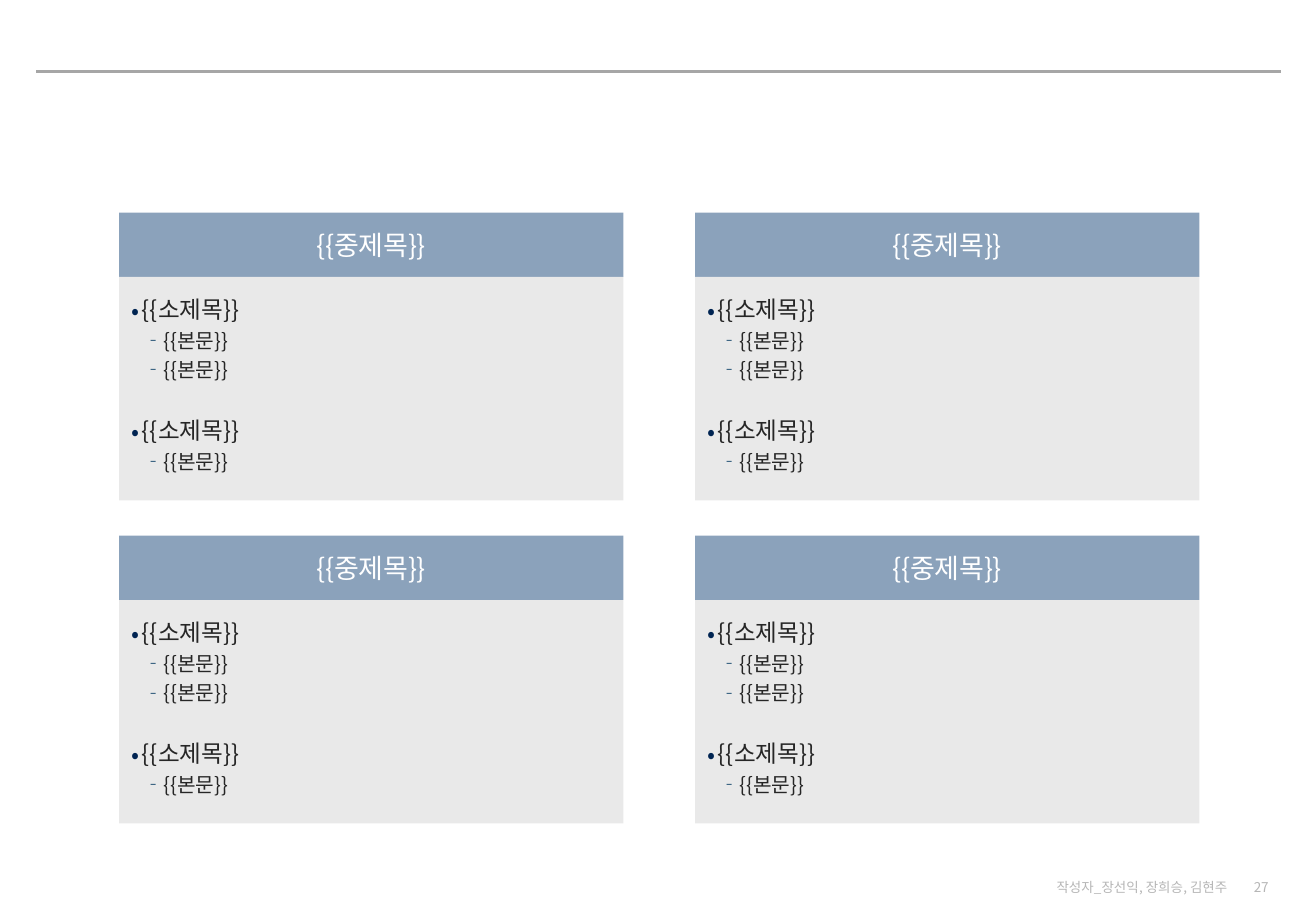
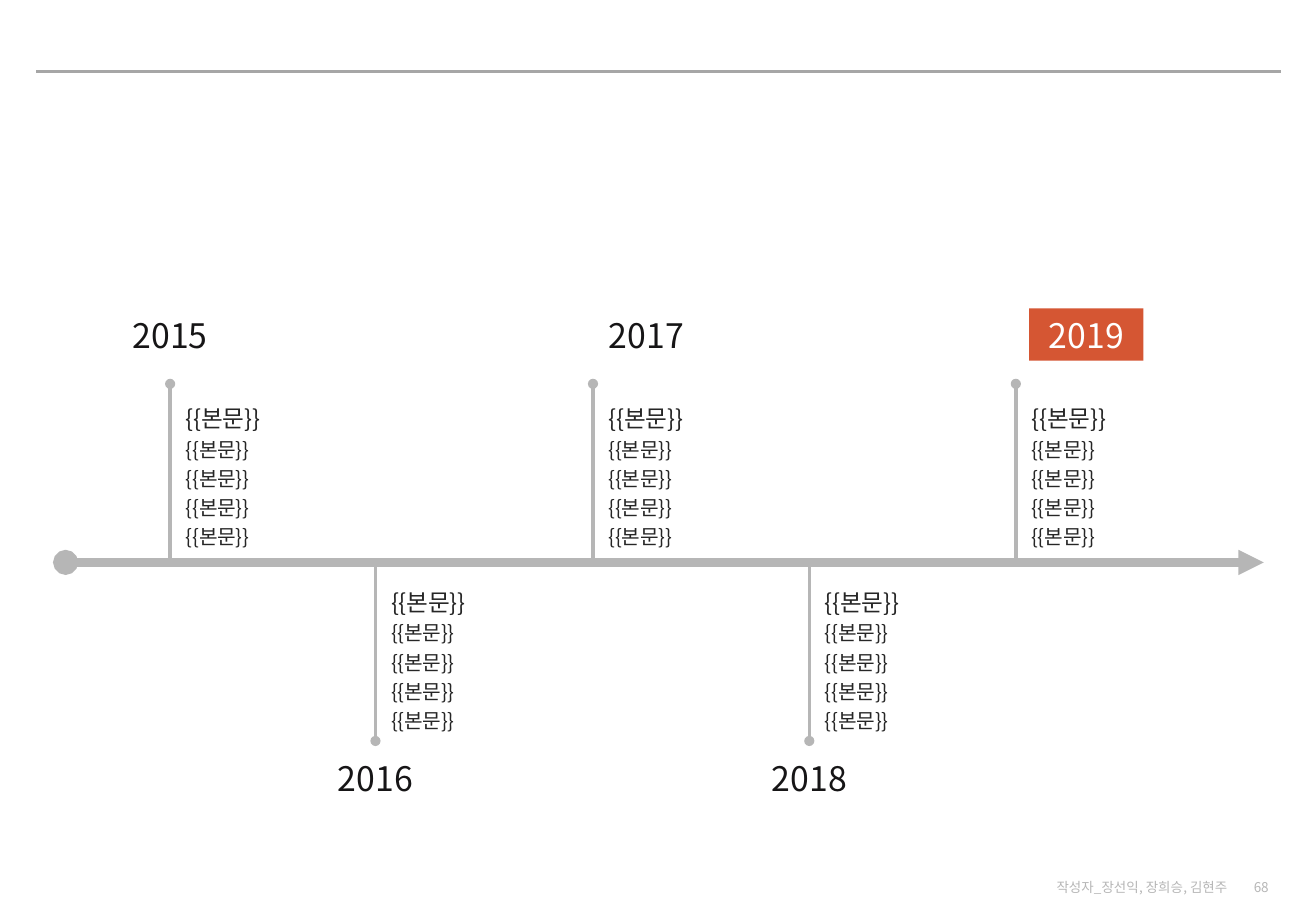
import pptx
import pptx.util
import pptx.dml.color
import pptx.enum.shapes
import pptx.enum.text
import pptx.oxml
import pptx.oxml.ns
from lxml import etree

Inches = pptx.util.Inches
Pt = pptx.util.Pt
RGBColor = pptx.dml.color.RGBColor
ALIGN = pptx.enum.text.PP_ALIGN
ANCHOR = pptx.enum.text.MSO_ANCHOR
qn = pptx.oxml.ns.qn

FONT = "Noto Sans CJK KR"
WHITE = RGBColor(0xFF, 0xFF, 0xFF)
RULE_GRAY = RGBColor(0xA6, 0xA6, 0xA6)
LIGHT_GRAY = RGBColor(0xB6, 0xB6, 0xB6)
PANEL_GRAY = RGBColor(0xE9, 0xE9, 0xE9)
HEADER_BLUE = RGBColor(0x8B, 0xA2, 0xBB)
ORANGE = RGBColor(0xD5, 0x56, 0x33)
TEXT_DARK = RGBColor(0x26, 0x26, 0x26)
YEAR_DARK = RGBColor(0x16, 0x15, 0x16)
DOT_NAVY = RGBColor(0x00, 0x24, 0x52)
DASH_NAVY = RGBColor(0x00, 0x37, 0x60)


def add_text(slide, box, lines, color, fill=None, align=ALIGN.LEFT,
             anchor=ANCHOR.MIDDLE, inset=0.05, line_spacing=None, tracking=0):
    """Add a filled rectangle or plain text box; lines holds (text, size) pairs."""
    lengths = [Inches(value) for value in box]
    if fill is None:
        shape = slide.shapes.add_textbox(*lengths)
    else:
        shape = slide.shapes.add_shape(pptx.enum.shapes.MSO_SHAPE.RECTANGLE, *lengths)
        shape.shadow.inherit = False
        shape.fill.solid()
        shape.fill.fore_color.rgb = fill
        shape.line.fill.background()
    frame = shape.text_frame
    frame.word_wrap = True
    frame.vertical_anchor = anchor
    frame.margin_left = frame.margin_right = Inches(0.1)
    frame.margin_top = frame.margin_bottom = Inches(inset)
    frame.text = "\n".join(text for text, size in lines)
    for paragraph, (text, size) in zip(frame.paragraphs, lines):
        paragraph.alignment = align
        paragraph.line_spacing = line_spacing
        for run in paragraph.runs:
            run.font.name = FONT
            run.font.size = Pt(size)
            run.font.color.rgb = color
            properties = run.font._element
            if tracking:
                properties.set("spc", str(tracking))
            etree.SubElement(properties, qn("a:ea")).set("typeface", FONT)
    return shape


def add_line(slide, start, end, color, width, head=None, tail=None):
    """Add a straight line with optional end markers."""
    points = [Inches(value) for value in (*start, *end)]
    line = slide.shapes.add_connector(
        pptx.enum.shapes.MSO_CONNECTOR.STRAIGHT, *points)
    line.line.color.rgb = color
    line.line.width = Pt(width)
    outline = line.line._get_or_add_ln()
    for tag, kind in (("a:headEnd", head), ("a:tailEnd", tail)):
        if kind:
            etree.SubElement(outline, qn(tag)).set("type", kind)
    etree.SubElement(line._element.spPr, qn("a:effectLst"))


presentation = pptx.Presentation()
presentation.slide_width = Inches(10.83)
presentation.slide_height = Inches(7.5)

# Shared frame: top rule, page number and authors
slides = []
for page_number in ("27", "68"):
    slide = presentation.slides.add_slide(presentation.slide_layouts[6])
    add_line(slide, (0.3, 0.59), (10.54, 0.59), RULE_GRAY, 0)
    add_text(slide, (10.13, 7.22, 0.41, 0.16), [(page_number, 8)],
             LIGHT_GRAY, align=ALIGN.RIGHT)
    add_text(slide, (8.52, 7.22, 1.68, 0.16), [("작성자_장선익, 장희승, 김현주", 8)],
             LIGHT_GRAY, align=ALIGN.RIGHT)
    slides.append(slide)
panel_slide, timeline_slide = slides

# Slide 1: two by two grid of panels
SUBTITLE = ("{{소제목}}", 14)
BODY = ("{{본문}}", 12)
PANEL_LINES = [SUBTITLE, BODY, BODY, SUBTITLE, BODY]
PANEL_WIDTH, HEADER_HEIGHT, PANEL_HEIGHT = 4.15, 0.53, 1.84
COLUMN_STEP, ROW_STEP = 4.74, 2.66

for row in range(2):
    for column in range(2):
        left = 0.98 + column * COLUMN_STEP
        top = 1.75 + row * ROW_STEP
        add_text(panel_slide, (left, top, PANEL_WIDTH, HEADER_HEIGHT),
                 [("{{중제목}}", 16)], WHITE, HEADER_BLUE, ALIGN.CENTER,
                 inset=0.1, tracking=-20)
        panel = add_text(
            panel_slide, (left, top + HEADER_HEIGHT, PANEL_WIDTH, PANEL_HEIGHT),
            PANEL_LINES, TEXT_DARK, PANEL_GRAY, anchor=ANCHOR.TOP,
            inset=0.1, line_spacing=1.2)

        # Bullets, with a gap before the second subtitle
        for index, paragraph in enumerate(panel.text_frame.paragraphs):
            if PANEL_LINES[index] == SUBTITLE:
                level, margin, indent, mark, color = 1, 0.09, -0.09, "•", DOT_NAVY
                if index > 0:
                    paragraph.space_before = Pt(17)
            else:
                level, margin, indent, mark, color = 2, 0.2, -0.1, "‐", DASH_NAVY
            paragraph.level = level
            properties = paragraph._p.get_or_add_pPr()
            properties.set("marL", str(Inches(margin)))
            properties.set("indent", str(Inches(indent)))
            bullet_color = etree.SubElement(properties, qn("a:buClr"))
            etree.SubElement(bullet_color, qn("a:srgbClr")).set("val", str(color))
            etree.SubElement(properties, qn("a:buFont")).set("typeface", FONT)
            etree.SubElement(properties, qn("a:buChar")).set("char", mark)

# Slide 2: timeline axis
AXIS_Y = 4.63
STEM_LENGTH = 1.47
YEAR_WIDTH, YEAR_HEIGHT = 0.94, 0.43
add_line(timeline_slide, (0.54, AXIS_Y), (10.4, AXIS_Y), LIGHT_GRAY, 5,
         head="oval", tail="triangle")

# Milestones: year, stem position, year left edge, above the axis, highlighted
MILESTONES = [
    ("2015", 1.4, 0.93, True, False),
    ("2016", 3.09, 2.62, False, False),
    ("2017", 4.88, 4.85, True, False),
    ("2018", 6.66, 6.19, False, False),
    ("2019", 8.36, 8.47, True, True),
]
for year, stem_x, year_left, above, highlighted in MILESTONES:
    if above:
        tip_y, year_top, body_top = AXIS_Y - STEM_LENGTH, 2.54, 3.23
    else:
        tip_y, year_top, body_top = AXIS_Y + STEM_LENGTH, 6.19, 4.74
    add_line(timeline_slide, (stem_x, tip_y), (stem_x, AXIS_Y), LIGHT_GRAY, 2,
             head="oval")
    add_text(timeline_slide, (year_left, year_top, YEAR_WIDTH, YEAR_HEIGHT),
             [(year, 20)], WHITE if highlighted else YEAR_DARK,
             ORANGE if highlighted else None, ALIGN.CENTER)
    add_text(timeline_slide, (stem_x + 0.03, body_top, 1.84, 1.34),
             [("{{본문}}", 14)] + [BODY] * 4, TEXT_DARK,
             line_spacing=1.2, tracking=-20)

presentation.save("out.pptx")
